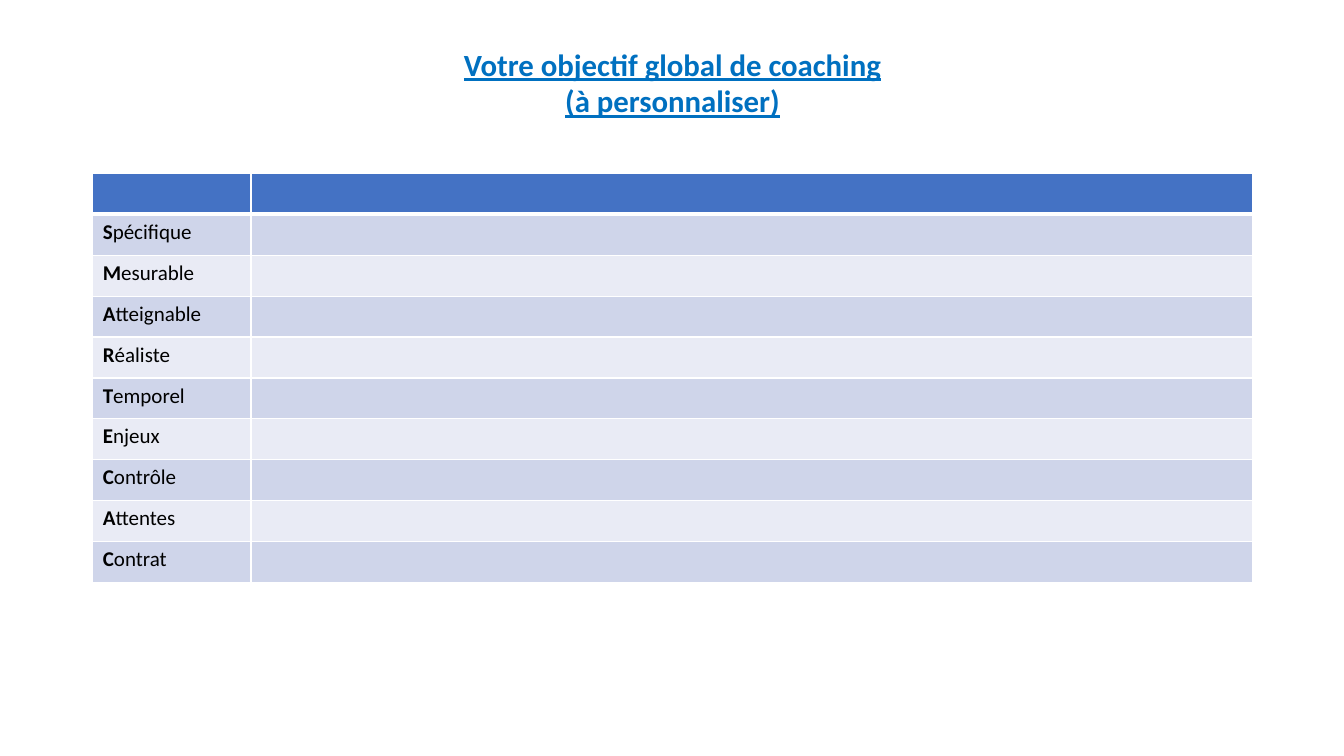
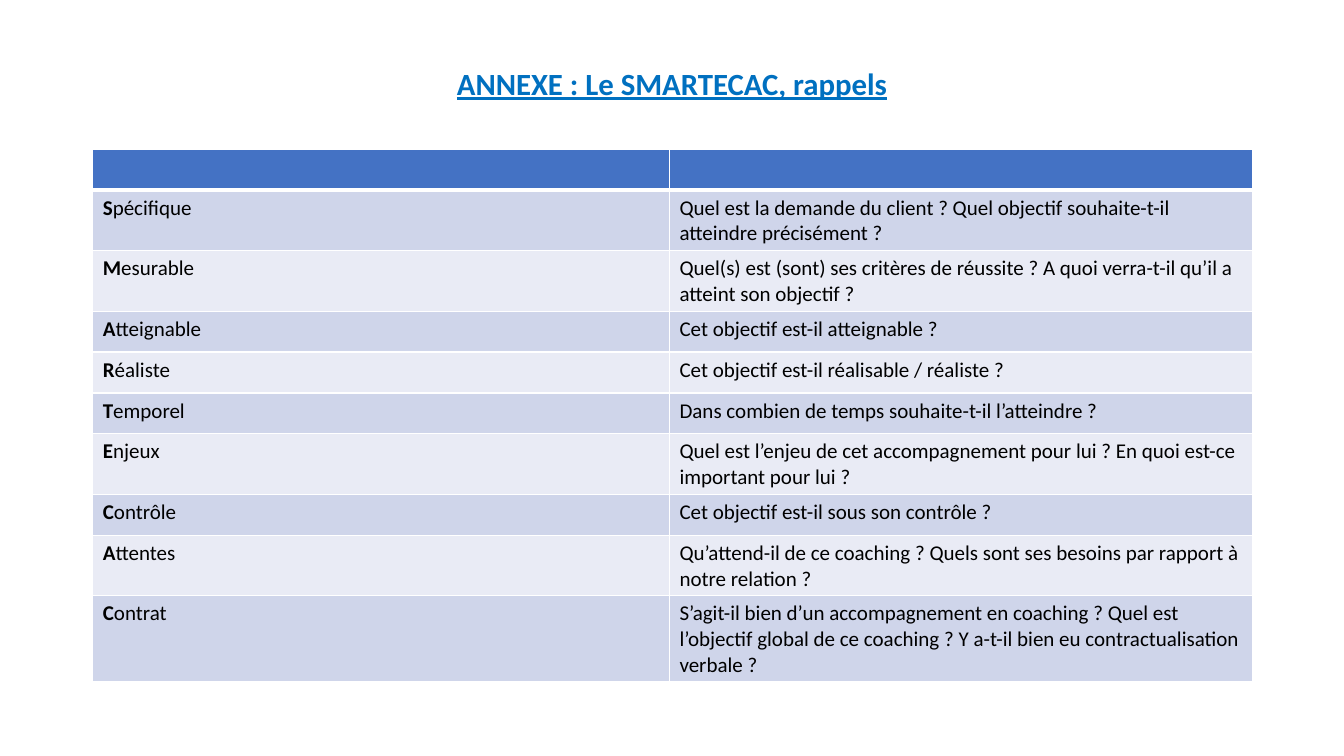
"""Build two coaching slides around the SMARTECAC grid."""
from dataclasses import dataclass

from lxml.etree import SubElement as Sub
from pptx import Presentation
from pptx.dml.color import RGBColor as RGB
from pptx.enum.text import MSO_AUTO_SIZE as Fit, PP_ALIGN as Align
from pptx.oxml.ns import qn
from pptx.util import Inches, Pt

WORDS = ["Spécifique", "Mesurable", "Atteignable", "Réaliste", "Temporel",
         "Enjeux", "Contrôle", "Attentes", "Contrat"]

HINTS = [
    "Quel est la demande du client ? Quel objectif souhaite-t-il atteindre précisément ?",
    "Quel(s) est (sont) ses critères de réussite ? A quoi verra-t-il qu’il a atteint son objectif ?",
    "Cet objectif est-il atteignable ?",
    "Cet objectif est-il réalisable / réaliste ?",
    "Dans combien de temps souhaite-t-il l’atteindre ?",
    "Quel est l’enjeu de cet accompagnement pour lui ? En quoi est-ce important pour lui ?",
    "Cet objectif est-il sous son contrôle ?",
    "Qu’attend-il de ce coaching ? Quels sont ses besoins par rapport à notre relation ?",
    "S’agit-il bien d’un accompagnement en coaching ? Quel est l’objectif global de ce coaching ? "
    "Y a-t-il bien eu contractualisation verbale ?",
]

SLIDES = [
    {"title": ["Votre objectif global de coaching", "(à personnaliser)"],
     "box": (4.04, 0.4, 5.26, 0.84),
     "top": 1.72, "cols": (1.57, 9.93), "hints": [""] * len(WORDS)},
    {"title": ["ANNEXE : Le SMARTECAC, rappels"],
     "box": (3.74, 0.59, 5.85, 0.47),
     "top": 1.48, "cols": (5.72, 5.78), "hints": HINTS},
]


@dataclass(frozen=True)
class Theme:
    font: str = "Calibri"
    title: str = "0070C0"
    text: str = "000000"
    head: str = "4472C4"
    bands: tuple = ("CFD5EA", "E9EBF5")
    rule: str = "FFFFFF"
    big: int = 22
    body: int = 15
    thin: int = 1
    thick: int = 3


THEME = Theme()
LEFT, HEIGHT = 0.92, 4.06


def style(run, size, color, bold):
    font = run.font
    font.name, font.size, font.bold = THEME.font, Pt(size), bold
    font.color.rgb = RGB.from_string(color)


def add_title(slide, lines, box):
    frame = slide.shapes.add_textbox(*map(Inches, box)).text_frame
    frame.word_wrap = True
    frame.auto_size = Fit.SHAPE_TO_FIT_TEXT
    frame.text = "\n".join(lines)
    for para in frame.paragraphs:
        para.alignment = Align.CENTER
        for run in para.runs:
            style(run, THEME.big, THEME.title, True)
            run.font.underline = True


def paint(cell, row):
    props = cell._tc.get_or_add_tcPr()
    widths = {"L": THEME.thin, "R": THEME.thin,
              "T": THEME.thick if row == 1 else THEME.thin,
              "B": THEME.thick if row == 0 else THEME.thin}
    for side, width in widths.items():
        line = Sub(props, qn(f"a:ln{side}"), w=str(Pt(width)))
        Sub(Sub(line, qn("a:solidFill")), qn("a:srgbClr"), val=THEME.rule)
    color = THEME.bands[(row - 1) % 2] if row else THEME.head
    cell.fill.solid()
    cell.fill.fore_color.rgb = RGB.from_string(color)


def write(cell, parts):
    para = cell.text_frame.paragraphs[0]
    for text, bold in parts:
        if text:
            run = para.add_run()
            run.text = text
            style(run, THEME.body, THEME.text, bold)


def add_grid(slide, top, cols, hints):
    count = len(WORDS) + 1
    place = map(Inches, (LEFT, top, sum(cols), HEIGHT))
    table = slide.shapes.add_table(count, len(cols), *place).table
    for col, width in zip(table.columns, cols):
        col.width = Inches(width)
    for index in range(count):
        for cell in table.rows[index].cells:
            paint(cell, index)
    for index, (word, hint) in enumerate(zip(WORDS, hints), 1):
        write(table.cell(index, 0), [(word[0], True), (word[1:], False)])
        write(table.cell(index, 1), [(hint, False)])


def main():
    deck = Presentation()
    deck.slide_width, deck.slide_height = Inches(13.33), Inches(7.5)
    for data in SLIDES:
        slide = deck.slides.add_slide(deck.slide_layouts[6])
        add_grid(slide, data["top"], data["cols"], data["hints"])
        add_title(slide, data["title"], data["box"])
    deck.save("out.pptx")


if __name__ == "__main__":
    main()
